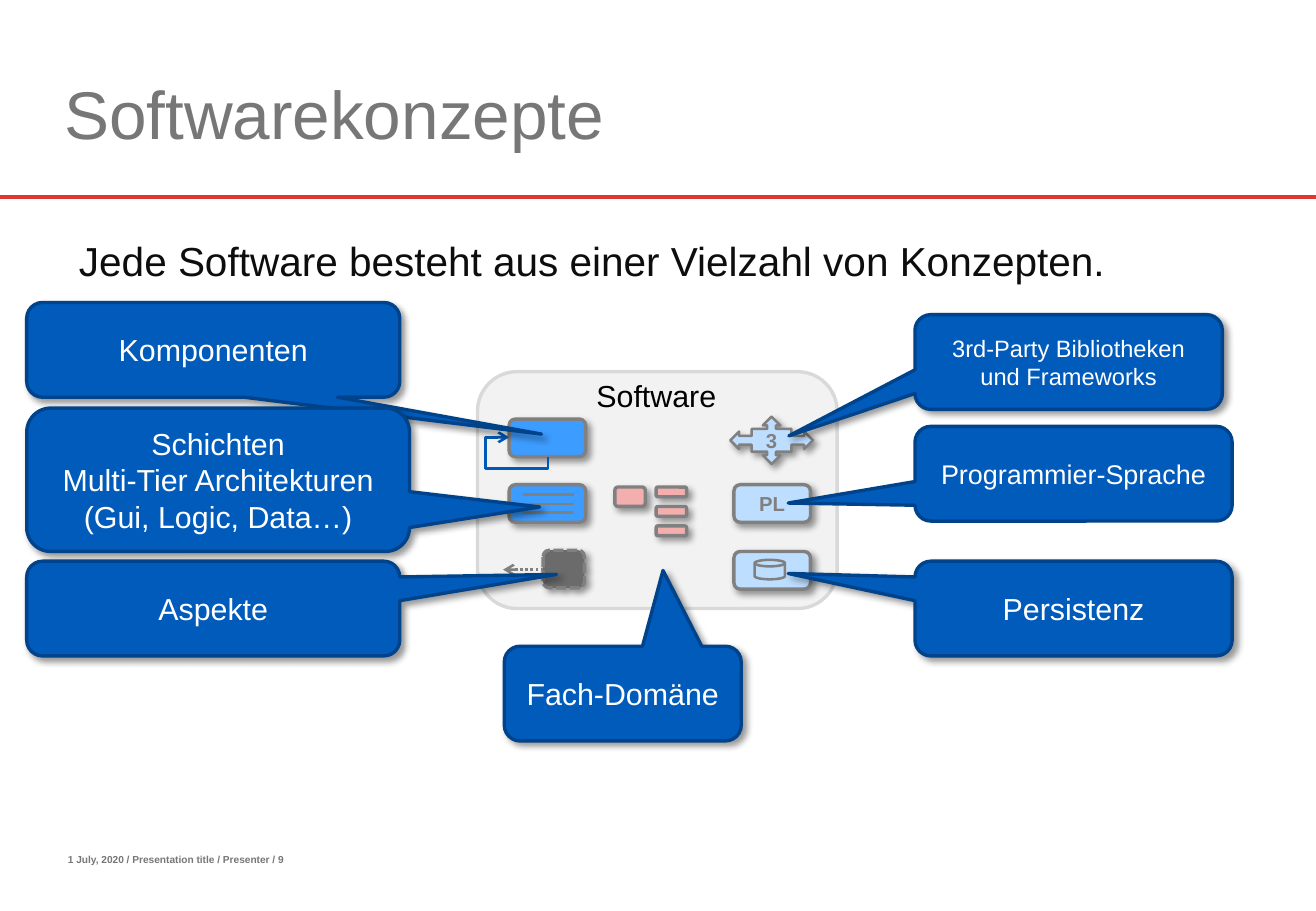
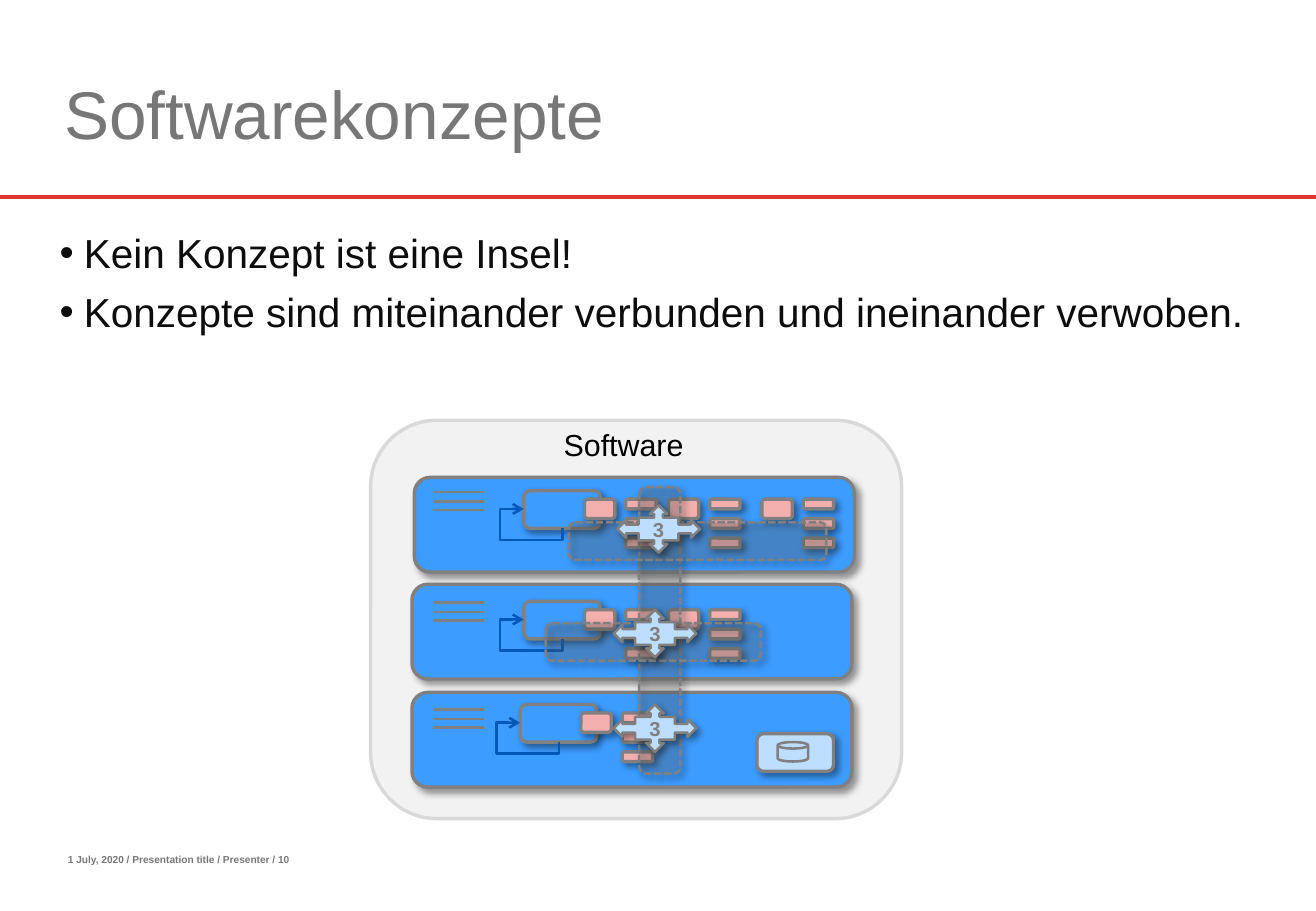
from pptx import Presentation
from pptx.dml.color import RGBColor
from pptx.enum.dml import MSO_LINE
from pptx.enum.shapes import MSO_CONNECTOR, MSO_SHAPE
from pptx.enum.text import MSO_ANCHOR, PP_ALIGN
from pptx.oxml import parse_xml
from pptx.oxml.ns import nsdecls, qn
from pptx.util import Inches, Pt

# Shared colours
RED = RGBColor(0xDE, 0x37, 0x31)
TITLE_GRAY = RGBColor(0x77, 0x77, 0x77)
TEXT = RGBColor(0x0D, 0x0D, 0x0D)
BLACK = RGBColor(0, 0, 0)
WHITE = RGBColor(0xFF, 0xFF, 0xFF)
PANEL = RGBColor(0xF2, 0xF2, 0xF2)
PANEL_LINE = RGBColor(0xD9, 0xD9, 0xD9)
OUTLINE = RGBColor(0x80, 0x80, 0x80)
BLUE = RGBColor(0x3D, 0x9C, 0xFF)
PALE_BLUE = RGBColor(0xBE, 0xDE, 0xFF)
CALLOUT = RGBColor(0x00, 0x5B, 0xBB)
CALLOUT_LINE = RGBColor(0x00, 0x43, 0x8A)
LOOP_BLUE = RGBColor(0x00, 0x59, 0xB7)
PINK = RGBColor(0xF2, 0xAF, 0xAD)
ASPECT = RGBColor(0x6B, 0x6B, 0x6B)

# Shared text formats
FONT = "Arial"
TITLE_STYLE = dict(size=Pt(40), color=TITLE_GRAY)
FOOTER_STYLE = dict(size=Pt(6), bold=True, color=TITLE_GRAY)
BODY_STYLE = dict(size=Pt(24), color=TEXT)
LABEL_STYLE = dict(size=Pt(18), color=BLACK)
ICON_STYLE = dict(size=Pt(12), bold=True, color=OUTLINE)

# Icon sizes
BOX_W, BOX_H = 0.63, 0.31
LINE_OFFSETS = (0, 0.08, 0.15)


def write(tf, lines, style, align=PP_ALIGN.LEFT):
    for i, line in enumerate(lines):
        p = tf.paragraphs[0] if i == 0 else tf.add_paragraph()
        p.alignment = align
        r = p.add_run()
        r.text = line
        r.font.name = FONT
        for name, value in style.items():
            if name == "color":
                r.font.color.rgb = value
            else:
                setattr(r.font, name, value)


def set_margins(tf, **margins):
    for side, value in margins.items():
        setattr(tf, f"margin_{side}", Inches(value))


def add_text(s, box, lines, style, anchor=MSO_ANCHOR.TOP):
    tf = s.shapes.add_textbox(*map(Inches, box)).text_frame
    tf.word_wrap = True
    tf.vertical_anchor = anchor
    write(tf, lines, style)
    return tf


def add_shadow(sp):
    effects = sp._element.spPr.find(qn("a:effectLst"))
    effects.append(parse_xml(
        f'<a:outerShdw {nsdecls("a")} blurRad="50800" dist="38100" dir="2700000"'
        ' algn="tl" rotWithShape="0"><a:srgbClr val="000000">'
        '<a:alpha val="40000"/></a:srgbClr></a:outerShdw>'))


def add_shape(s, box, fill, kind=MSO_SHAPE.ROUNDED_RECTANGLE, line=OUTLINE,
              width=2, dash=None, shadow=True):
    sp = s.shapes.add_shape(kind, *map(Inches, box))
    sp.shadow.inherit = False
    sp.fill.solid()
    sp.fill.fore_color.rgb = fill
    sp.line.color.rgb = line
    sp.line.width = Pt(width)
    if dash:
        sp.line.dash_style = dash
    if shadow:
        add_shadow(sp)
    return sp


def add_line(s, ends, color=OUTLINE, width=1.5, dash=None, arrow=False,
             kind=MSO_CONNECTOR.STRAIGHT):
    c = s.shapes.add_connector(kind, *map(Inches, ends))
    c.line.color.rgb = color
    c.line.width = Pt(width)
    if dash:
        c.line.dash_style = dash
    spPr = c._element.spPr
    if arrow:
        spPr.find(qn("a:ln")).append(
            parse_xml(f'<a:tailEnd {nsdecls("a")} type="arrow"/>'))
    spPr.append(parse_xml(f'<a:effectLst {nsdecls("a")}/>'))
    return c


# Slide frame: title, rule and footer
def new_slide(prs, title, number):
    s = prs.slides.add_slide(prs.slide_layouts[6])
    add_line(s, (0, 1.62, 10.83, 1.62), RED, 2.25)
    add_text(s, (0.46, 6.98, 4.49, 0.2),
             [f"1 July, 2020 / Presentation title / Presenter / {number}"],
             FOOTER_STYLE)
    add_text(s, (0.43, 0.3, 8.03, 1.01), [title], TITLE_STYLE, MSO_ANCHOR.BOTTOM)
    return s


def add_bullets(tf):
    for p in tf.paragraphs:
        p.space_after = Pt(6)
        pPr = p._p.get_or_add_pPr()
        pPr.set("marL", str(Inches(0.4)))
        pPr.set("indent", str(Inches(-0.2)))
        pPr.append(parse_xml(f'<a:buFont {nsdecls("a")} typeface="{FONT}"/>'))
        pPr.append(parse_xml(f'<a:buChar {nsdecls("a")} char="•"/>'))


# Icons for the software concepts
def add_software(s, panel, label):
    add_shape(s, panel, PANEL, line=PANEL_LINE, shadow=False)
    add_text(s, label, ["Software"], LABEL_STYLE)


def add_layer(s, box, x, y):
    add_shape(s, box, BLUE)
    for dy in LINE_OFFSETS:
        add_line(s, (x, y + dy, x + 0.42, y + dy))


def add_component(s, x, y):
    add_shape(s, (x, y, BOX_W, BOX_H), BLUE)
    # Loop from the bottom edge back to the left edge
    left, top = x + 0.08, y + 0.07
    c = add_line(s, (left, top, left + 0.16, top + 0.32), LOOP_BLUE,
                 arrow=True, kind=MSO_CONNECTOR.ELBOW)
    xfrm = c._element.spPr.find(qn("a:xfrm"))
    xfrm.set("rot", "5400000")
    xfrm.set("flipH", "1")
    geom = c._element.spPr.find(qn("a:prstGeom"))
    geom.set("prst", "bentConnector4")
    guides = geom.get_or_add_avLst()
    for name, value in (("adj1", -60000), ("adj2", 160900)):
        guides.append(parse_xml(
            f'<a:gd {nsdecls("a")} name="{name}" fmla="val {value}"/>'))


def add_domain(s, x, y):
    add_shape(s, (x, y, 0.25, 0.16), PINK)
    for i in range(3):
        add_shape(s, (x + 0.34, y + i * 0.16, 0.25, 0.08), PINK)


def add_database(s, x, y):
    add_shape(s, (x, y, BOX_W, BOX_H), PALE_BLUE)
    add_shape(s, (x + 0.17, y + 0.07, 0.25, 0.16), PALE_BLUE,
              MSO_SHAPE.FLOWCHART_MAGNETIC_DISK, width=1.5, shadow=False)


def add_icon_text(sp, text):
    set_margins(sp.text_frame, left=0, right=0, top=0, bottom=0)
    write(sp.text_frame, [text], ICON_STYLE, PP_ALIGN.CENTER)


def add_third_party(s, x, y):
    sp = add_shape(s, (x, y, 0.68, 0.39), PALE_BLUE,
                   MSO_SHAPE.QUAD_ARROW_CALLOUT, width=1.5)
    add_icon_text(sp, "3")


def add_aspect_band(s, box):
    sp = add_shape(s, box, ASPECT, width=1.5, dash=MSO_LINE.SQUARE_DOT)
    color = sp._element.spPr.find(qn("a:solidFill"))[0]
    color.append(parse_xml(f'<a:alpha {nsdecls("a")} val="25000"/>'))


def add_callout(s, box, tip, lines, size=18, shadow=True):
    sp = add_shape(s, box, CALLOUT, MSO_SHAPE.ROUNDED_RECTANGULAR_CALLOUT,
                   CALLOUT_LINE, shadow=shadow)
    sp.adjustments[0], sp.adjustments[1] = tip
    write(sp.text_frame, lines, dict(size=Pt(size), color=WHITE), PP_ALIGN.CENTER)


def build_concepts(prs):
    s = new_slide(prs, "Softwarekonzepte", 9)
    tf = add_text(s, (0.45, 1.86, 9.83, 0.47),
                  ["Jede Software besteht aus einer Vielzahl von Konzepten."],
                  BODY_STYLE)
    set_margins(tf, left=0.2, top=0.08)

    # Software with one icon per concept
    add_software(s, (3.93, 3.06, 2.96, 1.95), (4.81, 3.06, 1.21, 0.4))
    add_layer(s, (4.19, 3.99, BOX_W, BOX_H), 4.3, 4.07)
    add_component(s, 4.19, 3.45)
    add_domain(s, 5.06, 4.01)
    add_database(s, 6.04, 4.54)
    add_shape(s, (4.47, 4.53, 0.34, 0.31), ASPECT, dash=MSO_LINE.SQUARE_DOT)
    add_line(s, (4.47, 4.69, 4.14, 4.69), dash=MSO_LINE.ROUND_DOT, arrow=True)
    add_icon_text(add_shape(s, (6.04, 3.99, BOX_W, BOX_H), PALE_BLUE), "PL")

    # Callouts naming the concepts
    left, right, height = 0.22, 7.53, 0.78
    add_callout(s, (left, 2.49, 3.07, height), (0.88, 0.89), ["Komponenten"])
    add_callout(s, (left, 3.36, 3.15, 1.18), (0.84, 0.19),
                ["Schichten", "Multi-Tier Architekturen", "(Gui, Logic, Data…)"])
    add_callout(s, (left, 4.62, 3.07, height), (0.92, -0.36), ["Aspekte"])
    add_callout(s, (right, 3.51, 2.61, height), (-0.9, 0.31),
                ["Programmier-Sprache"], size=16, shadow=False)
    add_callout(s, (right, 4.62, 2.61, height), (-0.9, -0.37), ["Persistenz"])
    add_callout(s, (4.15, 5.32, 1.95, height), (0.17, -1.3), ["Fach-Domäne"])
    add_third_party(s, 6.01, 3.43)
    add_callout(s, (right, 2.59, 2.53, height), (-0.91, 0.78),
                ["3rd-Party Bibliotheken und Frameworks"], size=14)


def build_interwoven(prs):
    s = new_slide(prs, "Softwarekonzepte", 10)
    add_software(s, (3.05, 3.46, 4.37, 3.28), (4.54, 3.46, 1.52, 0.4))

    # Layers with their components and domain parts
    for x, y, lines_y in ((3.41, 3.93, 4.05), (3.39, 4.81, 4.96), (3.39, 5.7, 5.84)):
        add_layer(s, (x, y, 3.62, 0.78), 3.56, lines_y)
    for x, y in ((4.31, 4.95), (4.31, 4.04), (4.28, 5.8)):
        add_component(s, x, y)
        add_domain(s, x + 0.5, y + 0.07)
    add_database(s, 6.23, 6.04)
    for x, y in ((5.5, 4.11), (6.27, 4.11), (5.5, 5.02)):
        add_domain(s, x, y)

    # Aspects crossing the layers
    for band in ((5.26, 4.01, 0.34, 2.36), (4.49, 5.13, 1.77, 0.31),
                 (4.68, 4.3, 2.12, 0.31)):
        add_aspect_band(s, band)
    for x, y in ((5.08, 4.16), (5.05, 5.02), (5.05, 5.8)):
        add_third_party(s, x, y)

    tf = add_text(s, (0.21, 1.8, 10.62, 1.48),
                  ["Kein Konzept ist eine Insel!",
                   "Konzepte sind miteinander verbunden und ineinander verwoben."],
                  BODY_STYLE)
    set_margins(tf, left=0.08, top=0.08)
    add_bullets(tf)


def main():
    prs = Presentation()
    prs.slide_width, prs.slide_height = Inches(10.83), Inches(7.5)
    build_concepts(prs)
    build_interwoven(prs)
    prs.save("out.pptx")


if __name__ == "__main__":
    main()
